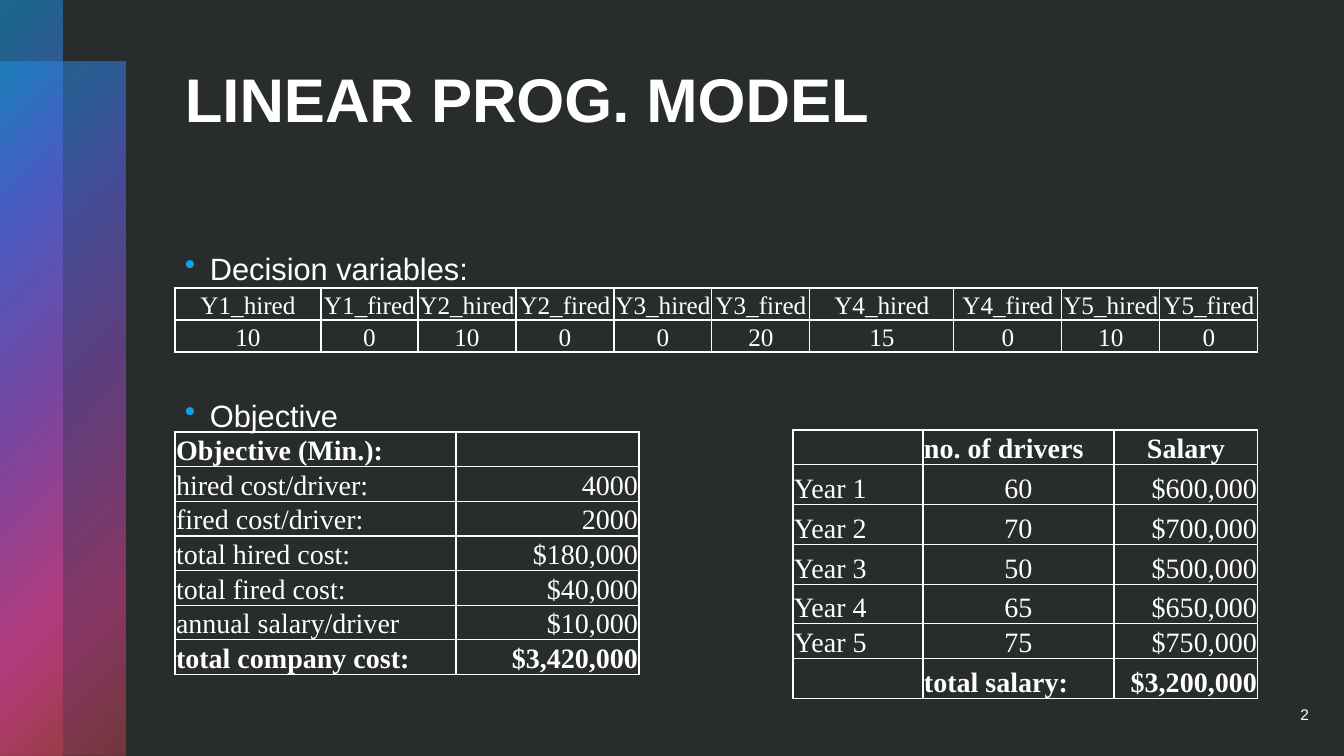
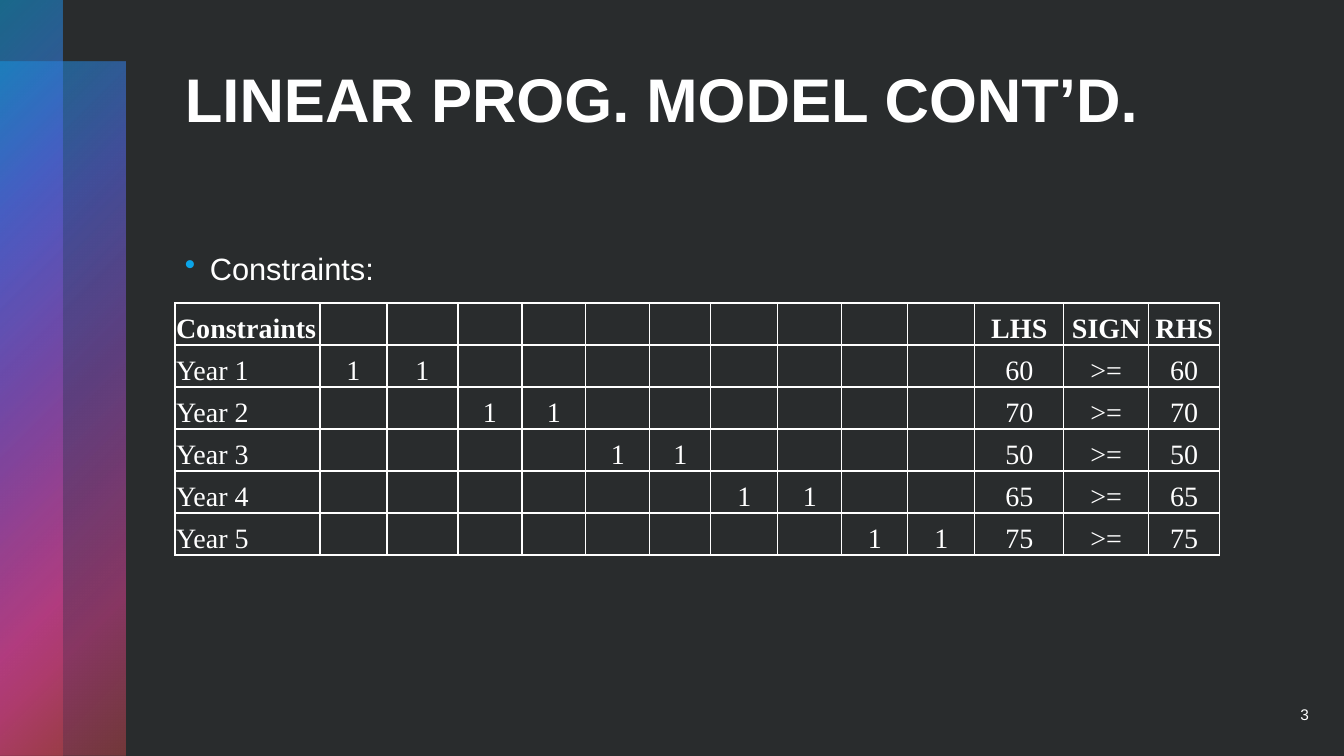
from dataclasses import dataclass

from pptx import Presentation
from pptx.dml.color import RGBColor
from pptx.enum.shapes import MSO_SHAPE
from pptx.enum.text import MSO_ANCHOR, PP_ALIGN
from pptx.oxml import parse_xml
from pptx.oxml.ns import nsdecls
from pptx.slide import Slide
from pptx.table import _Cell
from pptx.text.text import TextFrame, _Paragraph
from pptx.util import Emu, Pt

EMU_PER_PX = 914400 / 100.8
WHITE = RGBColor(0xFF, 0xFF, 0xFF)
DARK = RGBColor(0x29, 0x2C, 0x2D)
BLUE = RGBColor(0x0B, 0xA5, 0xE8)
INDIGO = RGBColor(0x50, 0x66, 0xE1)
PURPLE = RGBColor(0x89, 0x4E, 0xC0)
PINK = RGBColor(0xE5, 0x41, 0x96)
RED = RGBColor(0xBE, 0x44, 0x49)
BAND_STOPS = ((0, BLUE, 50), (25, INDIGO, 60), (50, PURPLE, 55), (81, PINK, 50), (99, RED, 50))
SANS, SERIF = "Arial", "Times New Roman"
ALIGN = {"l": PP_ALIGN.LEFT, "c": PP_ALIGN.CENTER, "r": PP_ALIGN.RIGHT, "j": PP_ALIGN.JUSTIFY}
LEFT = 175
DRIVERS = (60, 70, 50, 65, 75)
HIRED_FIRED = ((10, 0), (10, 0), (0, 20), (15, 0), (10, 0))
ANNUAL_SALARY = 10_000


@dataclass(frozen=True)
class Box:
    left: int
    top: int
    width: int
    height: int


@dataclass(frozen=True)
class Grid:
    left: int
    top: int
    widths: tuple[int, ...]
    heights: tuple[int, ...]
    rows: tuple[tuple[str, ...], ...]
    aligns: tuple[str, ...]
    size: int = 20
    bold_rows: tuple[int, ...] = ()


@dataclass(frozen=True)
class Page:
    number: int
    title: str
    bullets: tuple[str, ...]
    grids: tuple[Grid, ...]


BANDS = (Box(0, 62, 126, 694), Box(0, 0, 63, 756))
TITLE = Box(LEFT, 56, 1045, 171)
BODY = Box(LEFT, 241, 1045, 432)
NUMBER = Box(1229, 694, 90, 40)


def px(n: int) -> Emu:
    return Emu(round(n * EMU_PER_PX))


def place(box: Box) -> tuple[Emu, Emu, Emu, Emu]:
    return px(box.left), px(box.top), px(box.width), px(box.height)


def style(p: _Paragraph, font: str, size: int, align: str = "l", bold: bool = False) -> None:
    p.alignment = ALIGN[align]
    p.font.name, p.font.size, p.font.bold = font, Pt(size), bold
    p.font.color.rgb = WHITE


def add_band(s: Slide, box: Box) -> None:
    sp = s.shapes.add_shape(MSO_SHAPE.RECTANGLE, *place(box))
    sp.shadow.inherit = False
    sp.line.fill.background()
    sp.fill.background()
    stops = "".join(
        f'<a:gs pos="{pos * 1000}"><a:srgbClr val="{color}">'
        f'<a:alpha val="{alpha * 1000}"/></a:srgbClr></a:gs>'
        for pos, color, alpha in BAND_STOPS
    )
    gradient = parse_xml(
        f'<a:gradFill {nsdecls("a")} rotWithShape="1"><a:gsLst>{stops}</a:gsLst>'
        '<a:path path="circle"><a:fillToRect r="100000" b="100000"/></a:path></a:gradFill>'
    )
    sp_pr = sp.fill._xPr
    sp_pr.replace(sp_pr.noFill, gradient)


def add_text(s: Slide, box: Box) -> TextFrame:
    tf = s.shapes.add_textbox(*place(box)).text_frame
    tf.word_wrap = True
    return tf


def add_bullets(s: Slide, bullets: tuple[str, ...]) -> None:
    tf = add_text(s, BODY)
    for i, text in enumerate(bullets):
        p = tf.add_paragraph() if i else tf.paragraphs[0]
        p.text = text
        style(p, SANS, 22, "j")
        p.line_spacing = 1.1
        p.space_before = Pt(76 if i else 0)
        p_pr = p._p.get_or_add_pPr()
        p_pr.set("marL", str(px(25)))
        p_pr.set("indent", str(px(-25)))
        color = parse_xml(f'<a:buClr {nsdecls("a")}><a:srgbClr val="{BLUE}"/></a:buClr>')
        char = parse_xml(f'<a:buChar {nsdecls("a")} char="•"/>')
        at = p_pr.index(p_pr.defRPr) if hasattr(p_pr, "defRPr") else len(p_pr) - 1
        p_pr.insert(at, color)
        p_pr.insert(at + 1, char)


def set_borders(cell: _Cell) -> None:
    tc_pr = cell._tc.get_or_add_tcPr()
    for i, side in enumerate("LRTB"):
        tc_pr.insert(i, parse_xml(
            f'<a:ln{side} {nsdecls("a")} w="{Pt(1)}"><a:solidFill>'
            f'<a:srgbClr val="{WHITE}"/></a:solidFill></a:ln{side}>'
        ))


def add_grid(s: Slide, grid: Grid) -> None:
    box = Box(grid.left, grid.top, sum(grid.widths), sum(grid.heights))
    table = s.shapes.add_table(len(grid.heights), len(grid.widths), *place(box)).table
    table.first_row = table.horz_banding = False
    for column, width in zip(table.columns, grid.widths):
        column.width = px(width)
    for i, (row, height) in enumerate(zip(table.rows, grid.heights)):
        row.height = px(height)
        for cell, text, align in zip(row.cells, grid.rows[i], grid.aligns[i]):
            cell.margin_left = cell.margin_right = cell.margin_top = px(1)
            cell.margin_bottom = 0
            cell.vertical_anchor = MSO_ANCHOR.BOTTOM
            cell.fill.background()
            set_borders(cell)
            p = cell.text_frame.paragraphs[0]
            if text:
                p.text = text
            style(p, SERIF, grid.size, align, i in grid.bold_rows)


def add_page(prs: Presentation, page: Page) -> None:
    s = prs.slides.add_slide(prs.slide_layouts[6])
    for band in BANDS:
        add_band(s, band)
    p = add_text(s, TITLE).paragraphs[0]
    p.text = page.title
    style(p, SANS, 44, bold=True)
    add_bullets(s, page.bullets)
    for grid in page.grids:
        add_grid(s, grid)
    tf = add_text(s, NUMBER)
    tf.vertical_anchor = MSO_ANCHOR.MIDDLE
    p = tf.paragraphs[0]
    p.text = str(page.number)
    style(p, SANS, 11, "r")


def money(n: int) -> str:
    return f"${n:,}"


def constraint_row(year: int, drivers: int) -> tuple[str, ...]:
    marks = tuple("1" if i // 2 == year - 1 else "" for i in range(10))
    return (f"Year {year}", *marks, str(drivers), ">=", str(drivers))


DECISIONS = Grid(
    LEFT, 288, (146, 97, 98, 98, 98, 98, 144, 108, 98, 98), (32,) * 2,
    (
        tuple(f"Y{year}_{kind}" for year in range(1, 6) for kind in ("hired", "fired")),
        tuple(str(n) for pair in HIRED_FIRED for n in pair),
    ),
    ("c" * 10,) * 2, size=18,
)
OBJECTIVE = Grid(
    LEFT, 432, (281, 183), (32,) * 7,
    (
        ("Objective (Min.):", ""),
        ("hired cost/driver:", "4000"),
        ("fired cost/driver:", "2000"),
        ("total hired cost:", money(180_000)),
        ("total fired cost:", money(40_000)),
        ("annual salary/driver", money(ANNUAL_SALARY)),
        ("total company cost:", money(3_420_000)),
    ),
    ("lr",) * 7, bold_rows=(0, 6),
)
SALARY = Grid(
    793, 430, (130, 191, 144), (32, 40, 40, 40, 39, 32, 40),
    (
        ("", "no. of drivers", "Salary"),
        *((f"Year {year}", str(n), money(n * ANNUAL_SALARY))
          for year, n in enumerate(DRIVERS, 1)),
        ("", "total salary:", money(sum(DRIVERS) * ANNUAL_SALARY)),
    ),
    ("llc", *("lcr",) * 5, "llr"), bold_rows=(0, 6),
)
CONSTRAINTS = Grid(
    LEFT, 303, (145, 67, 71, 64, 64, 64, 61, 67, 64, 66, 67, 89, 85, 71), (42,) * 6,
    (
        ("Constraints", *("",) * 10, "LHS", "SIGN", "RHS"),
        *(constraint_row(year, n) for year, n in enumerate(DRIVERS, 1)),
    ),
    ("l" + "c" * 13,) * 6, bold_rows=(0,),
)
PAGES = (
    Page(2, "LINEAR PROG. MODEL", ("Decision variables:", "Objective"),
         (DECISIONS, OBJECTIVE, SALARY)),
    Page(3, "LINEAR PROG. MODEL CONT’D.", ("Constraints:",), (CONSTRAINTS,)),
)


def main() -> None:
    prs = Presentation()
    prs.slide_width, prs.slide_height = px(1344), px(756)
    fill = prs.slide_master.background.fill
    fill.solid()
    fill.fore_color.rgb = DARK
    for page in PAGES:
        add_page(prs, page)
    prs.save("out.pptx")


if __name__ == "__main__":
    main()
